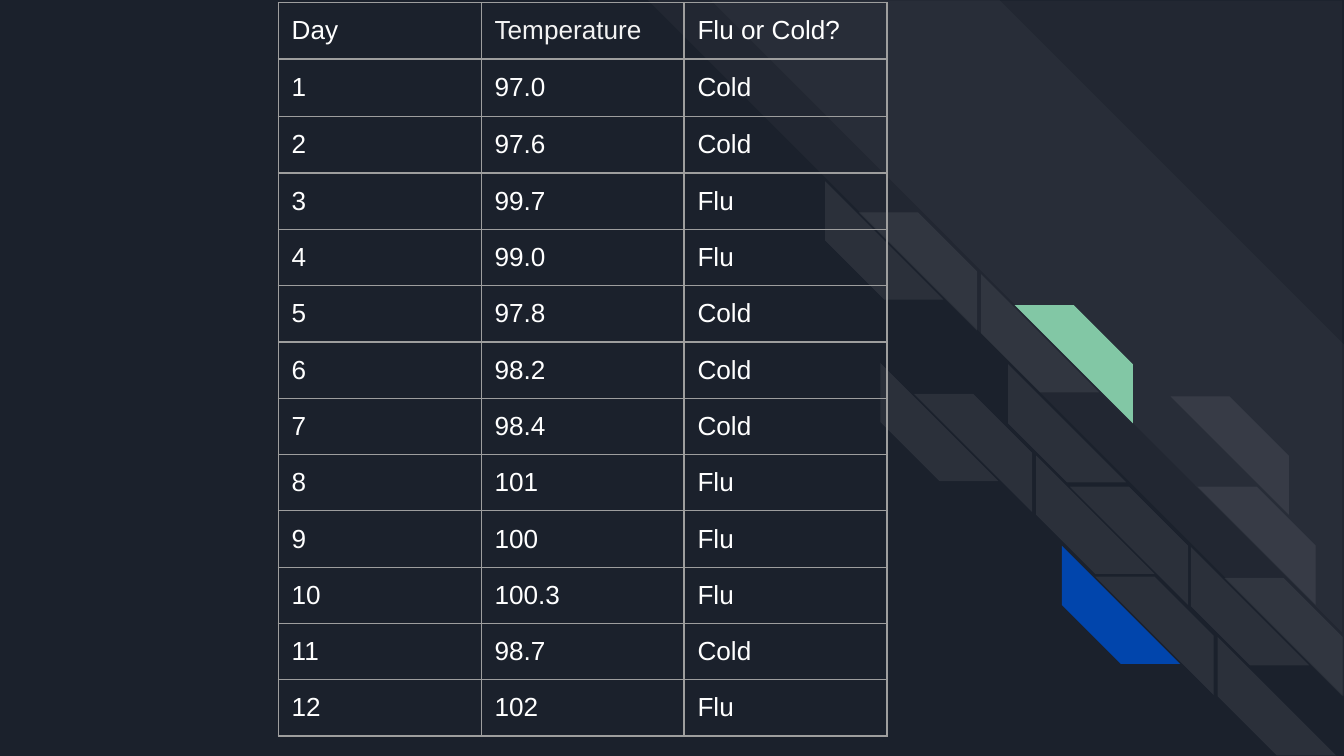
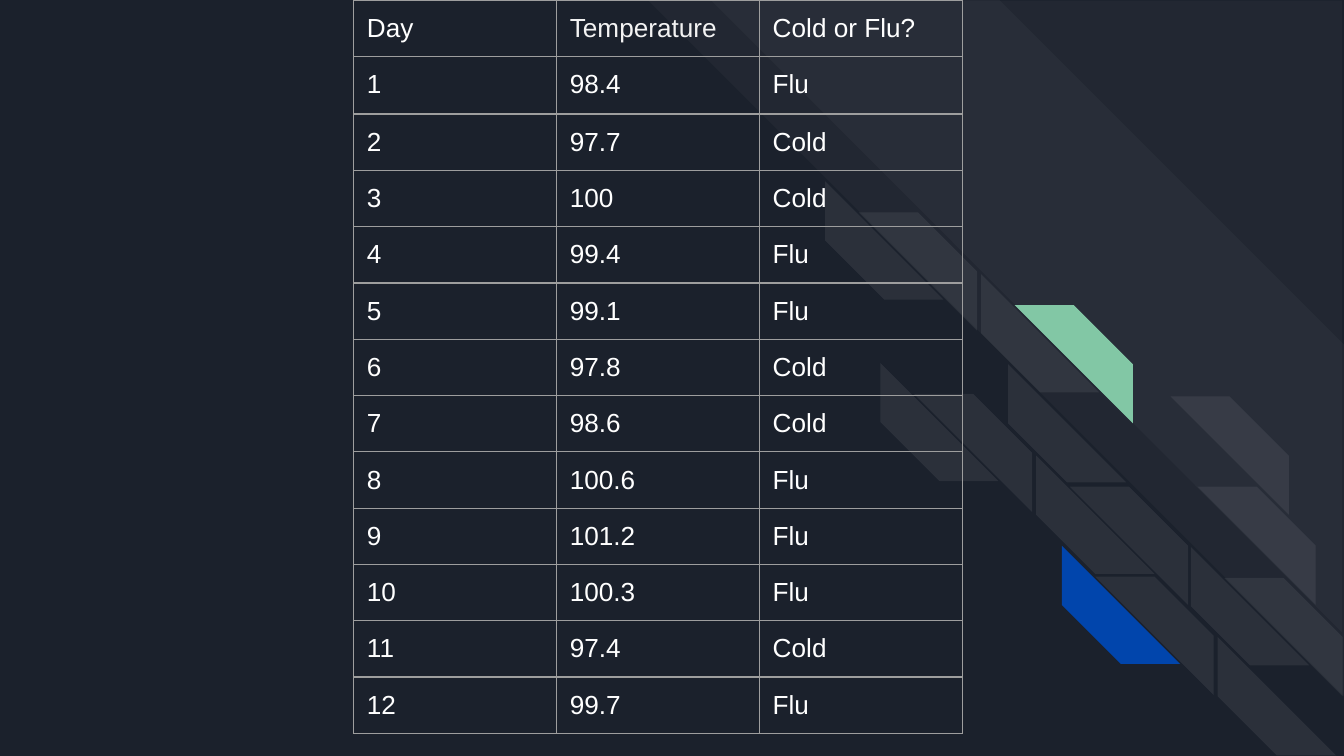
from lxml.etree import SubElement
from pptx import Presentation
from pptx.dml.color import RGBColor
from pptx.enum.shapes import MSO_SHAPE as Shape
from pptx.oxml.ns import qn
from pptx.util import Inches, Pt

# Shared look
SLIDE_WIDTH = 10
SLIDE_HEIGHT = SLIDE_WIDTH * 9 / 16
NAVY = RGBColor(0x1B, 0x21, 0x2C)
WHITE = RGBColor(0xFF, 0xFF, 0xFF)
OFF_WHITE = RGBColor(0xF3, 0xF3, 0xF3)
GREEN = RGBColor(0x82, 0xC7, 0xA5)
BLUE = RGBColor(0x01, 0x45, 0xAC)
RULE_GREY = "9E9E9E"
FONT = "Arial"

# Chips of the brick pattern: each pair is a left chip and its right neighbour
CHIP = 0.88
PAIR_DX, PAIR_DY = 0.25, 0.23
CHIP_PAIRS = [  # left, top, left colour, right colour
    (6.14, 1.35, None, None),
    (6.55, 2.70, None, None),
    (7.30, 2.04, None, GREEN),
    (7.71, 3.39, None, None),
    (7.90, 4.06, BLUE, None),
    (8.86, 4.07, None, None),
]
LONE_LEFT_CHIPS = [(7.50, 2.71), (9.06, 4.74)]
LONE_RIGHT_CHIPS = [(8.71, 2.95), (8.91, 3.62)]

# Table geometry
COLUMN_WIDTH = 1.51
ROW_HEIGHT, FIRST_DAY_HEIGHT = 0.39, 0.43
CELL_INSET = Inches(0.1)

# Readings for days 1 to 12
FLU_OR_COLD = [
    ("97.0", "Cold"), ("97.6", "Cold"), ("99.7", "Flu"), ("99.0", "Flu"),
    ("97.8", "Cold"), ("98.2", "Cold"), ("98.4", "Cold"), ("101", "Flu"),
    ("100", "Flu"), ("100.3", "Flu"), ("98.7", "Cold"), ("102", "Flu"),
]
COLD_OR_FLU = [
    ("98.4", "Flu"), ("97.7", "Cold"), ("100", "Cold"), ("99.4", "Flu"),
    ("99.1", "Flu"), ("97.8", "Cold"), ("98.6", "Cold"), ("100.6", "Flu"),
    ("101.2", "Flu"), ("100.3", "Flu"), ("97.4", "Cold"), ("99.7", "Flu"),
]


def add_stripe(slide, layout, box, cut, color=WHITE, opacity=100,
               rotation=0, flipped=False):
    """Draw a diagonal stripe and move it to the shared layout."""
    stripe = slide.shapes.add_shape(Shape.DIAGONAL_STRIPE, *map(Inches, box))
    stripe.adjustments[0] = cut
    stripe.rotation = rotation
    stripe.shadow.inherit = False
    stripe.line.fill.background()
    stripe.fill.solid()
    stripe.fill.fore_color.rgb = color
    properties = stripe.element.spPr
    if flipped:
        properties.find(qn("a:xfrm")).set("flipH", "1")
    if opacity < 100:
        tint = properties.find(qn("a:solidFill")).find(qn("a:srgbClr"))
        SubElement(tint, qn("a:alpha")).set("val", str(opacity * 1000))
    layout.shapes.element.append(stripe.element)


def add_chip(slide, layout, left, top, color=None, right=False):
    """Add one brick; without a colour it is a faint white."""
    add_stripe(slide, layout, (left, top, CHIP, CHIP), 0.5,
               color or WHITE, 100 if color else 7,
               rotation=0 if right else 270, flipped=right)


def decorate_layout(slide, layout):
    layout.background.fill.solid()
    layout.background.fill.fore_color.rgb = NAVY
    # Wide bands
    add_stripe(slide, layout, (4.82, 0, 5.18, 5.18), 0.495,
               opacity=3, rotation=90)
    add_stripe(slide, layout, (5.29, 0.01, 4.7, 4.69), 0,
               opacity=3, rotation=90)
    # Bricks
    for left, top, left_color, right_color in CHIP_PAIRS:
        add_chip(slide, layout, left, top, left_color)
        add_chip(slide, layout, left + PAIR_DX, top + PAIR_DY,
                 right_color, right=True)
    for left, top in LONE_LEFT_CHIPS:
        add_chip(slide, layout, left, top)
    for left, top in LONE_RIGHT_CHIPS:
        add_chip(slide, layout, left, top, right=True)


def add_cell_borders(cell):
    properties = cell._tc.get_or_add_tcPr()
    for position, side in enumerate(("a:lnL", "a:lnR", "a:lnT", "a:lnB")):
        border = SubElement(properties, qn(side), w=str(Pt(0.75)))
        fill = SubElement(border, qn("a:solidFill"))
        SubElement(fill, qn("a:srgbClr"), val=RULE_GREY)
        properties.insert(position, border)  # borders precede the fill


def fill_cell(cell, text, color):
    cell.text = text
    cell.margin_left = cell.margin_right = CELL_INSET
    cell.margin_top = cell.margin_bottom = CELL_INSET
    cell.fill.background()
    font = cell.text_frame.paragraphs[0].font
    font.name, font.size, font.color.rgb = FONT, Pt(14), color
    add_cell_borders(cell)


def add_readings_table(slide, left, top, question, readings):
    rows = [("Day", "Temperature", question)]
    rows += [(str(day), *reading) for day, reading in enumerate(readings, 1)]
    heights = [ROW_HEIGHT] * len(rows)
    heights[1] = FIRST_DAY_HEIGHT
    table = slide.shapes.add_table(
        len(rows), 3, Inches(left), Inches(top),
        Inches(3 * COLUMN_WIDTH), Inches(sum(heights))).table
    table.first_row = table.horz_banding = False
    for column in table.columns:
        column.width = Inches(COLUMN_WIDTH)
    for r, (texts, height) in enumerate(zip(rows, heights)):
        table.rows[r].height = Inches(height)
        for c, text in enumerate(texts):
            color = OFF_WHITE if text == "Temperature" else WHITE
            fill_cell(table.cell(r, c), text, color)


def main():
    deck = Presentation()
    deck.slide_width = Inches(SLIDE_WIDTH)
    deck.slide_height = Inches(SLIDE_HEIGHT)
    blank = deck.slide_layouts[6]
    first = deck.slides.add_slide(blank)
    second = deck.slides.add_slide(blank)
    decorate_layout(first, blank)
    add_readings_table(first, 2.07, 0.02, "Flu or Cold?", FLU_OR_COLD)
    add_readings_table(second, 2.63, 0, "Cold or Flu?", COLD_OR_FLU)
    deck.save("out.pptx")


main()
